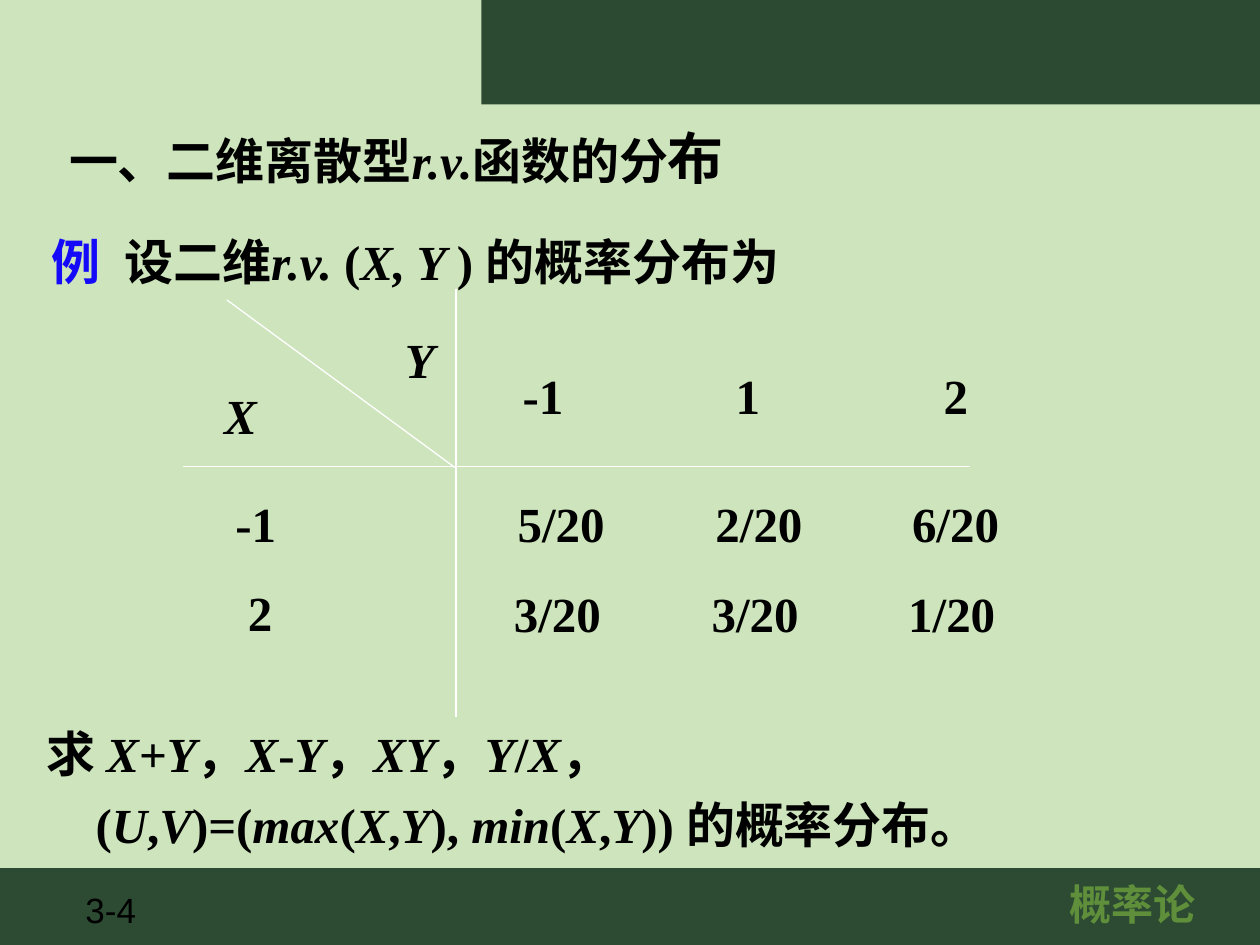
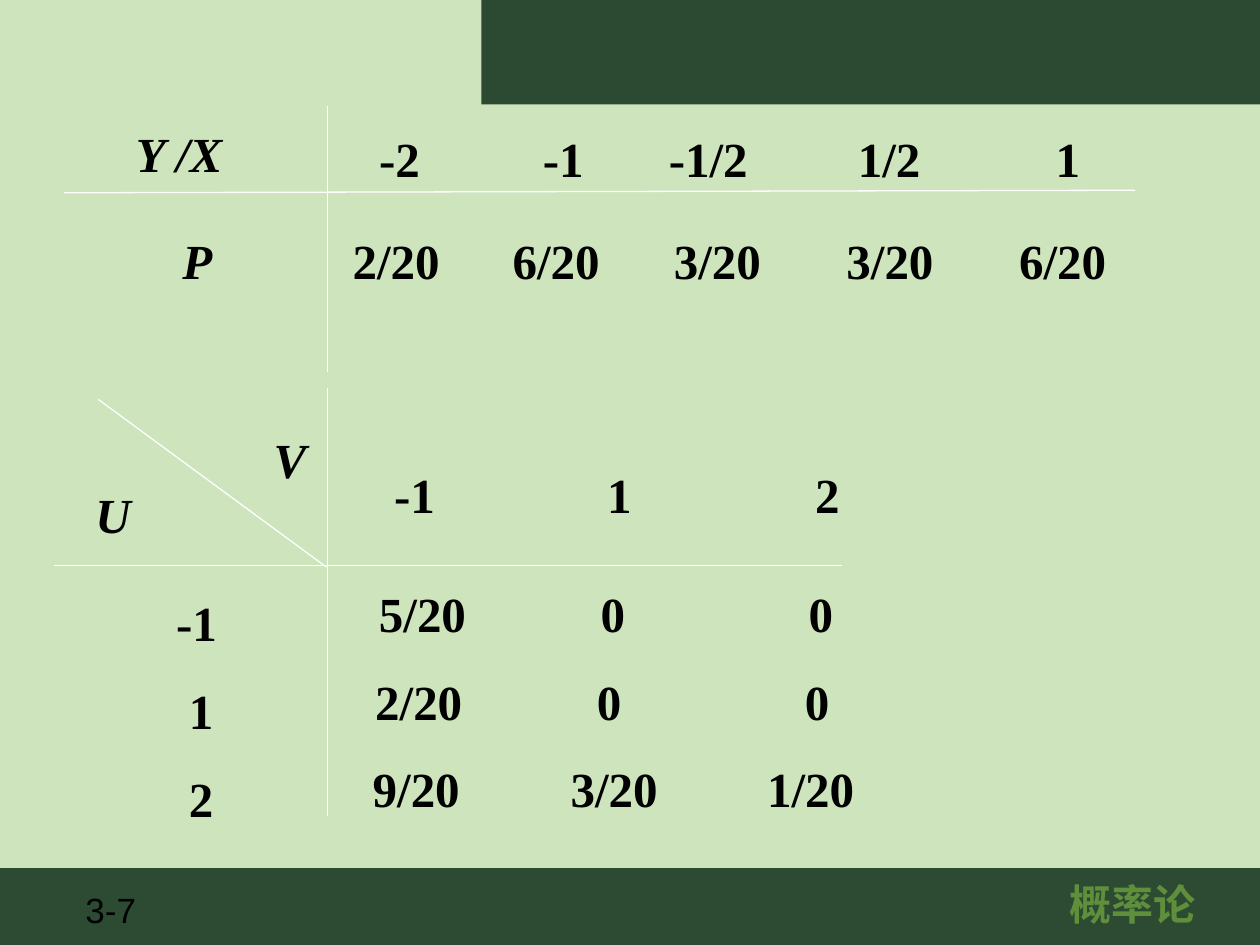
"""Build two slides on the distribution of functions of discrete random pairs."""
from dataclasses import dataclass, field

from lxml.etree import SubElement as Sub
from pptx import Presentation
from pptx.dml.color import RGBColor as Rgb
from pptx.enum.shapes import MSO_CONNECTOR as Conn, MSO_SHAPE as Kind
from pptx.enum.text import PP_ALIGN as Align
from pptx.oxml.ns import qn
from pptx.slide import Slide
from pptx.util import Inches, Pt

HUES = {
    "page": "CDE4BC", "foot": "2D4B33", "head": "2C4A32", "brand": "5F8F3B",
    "ink": "000000", "blue": "1409F9", "line": "FFFFFF",
}
MATH = {"name": "Times New Roman", "size": Pt(28), "bold": True}
HAN = "Noto Sans CJK SC"
PAIRS = (1.69, 3.34)
THIRDS = (1.57, 3.13)
ZEROS = (1.76, 3.41)


@dataclass
class Bit:
    """A piece of text, with italics between asterisks."""
    text: str
    hue: str = "ink"
    form: dict = field(default_factory=dict)


@dataclass
class Para:
    """A paragraph with its layout."""
    bits: list[Bit]
    tabs: tuple[float, ...] = ()
    dent: float = 0
    lead: float = 1.0
    align: Align = Align.LEFT


@dataclass
class Bar:
    """A plain filled band."""
    left: float
    top: float
    wide: float
    high: float
    hue: str


@dataclass
class Row:
    """A line of values set on tab stops."""
    left: float
    top: float
    cells: list[str]
    tabs: tuple[float, ...]


BARS = [Bar(0, 6.89, 10, 0.61, "foot"), Bar(3.82, 0, 6.18, 0.83, "head")]


def tint(hue: str) -> Rgb:
    """Look up a colour."""
    return Rgb.from_string(HUES[hue])


def write(slide: Slide, left: float, top: float, wide: float, paras: list[Para],
          high: float = 0.57) -> None:
    """Place a text box."""
    box = slide.shapes.add_textbox(*map(Inches, (left, top, wide, high)))
    frame = box.text_frame
    frame.word_wrap = True
    for num, para in enumerate(paras):
        line = frame.add_paragraph() if num else frame.paragraphs[0]
        line.alignment, line.line_spacing = para.align, para.lead
        props = line._p.get_or_add_pPr()
        if para.dent:
            props.set("marL", str(Inches(para.dent)))
            props.set("indent", "0")
        if para.tabs:
            stops = Sub(props, qn("a:tabLst"))
            for tab in para.tabs:
                Sub(stops, qn("a:tab"), pos=str(Inches(tab)), algn="l")
        for bit in para.bits:
            for spot, text in enumerate(bit.text.split("*")):
                if not text:
                    continue
                run = line.add_run()
                run.text = text
                form = MATH | {"italic": spot % 2 == 1} | bit.form
                for key, value in form.items():
                    setattr(run.font, key, value)
                run.font.color.rgb = tint(bit.hue)
                Sub(run._r.get_or_add_rPr(), qn("a:ea"), typeface=HAN)


def label(slide: Slide, left: float, top: float, wide: float, text: str,
          align: Align = Align.LEFT) -> None:
    """Place a single line of maths."""
    write(slide, left, top, wide, [Para([Bit(text)], align=align)])


def rows(slide: Slide, items: list[Row]) -> None:
    """Place lines of tabbed values."""
    for row in items:
        text = "\t".join(row.cells)
        write(slide, row.left, row.top, row.tabs[-1] + 1.05,
              [Para([Bit(text)], row.tabs)])


def rule(slide: Slide, *ends: float) -> None:
    """Draw a thin line."""
    line = slide.shapes.add_connector(Conn.STRAIGHT, *map(Inches, ends))
    line.line.width = Pt(0.75)
    line.line.color.rgb = tint("line")
    Sub(line._element.spPr, qn("a:effectLst"))


def grid(slide: Slide, left: float, top: float, side: str, head: str) -> None:
    """Draw a joint table frame whose crossing rule starts at left, top."""
    rule(slide, left, top, left + 6.25, top)
    rule(slide, left + 2.17, top - 1.41, left + 2.17, top + 1.99)
    rule(slide, left + 0.35, top - 1.32, left + 2.16, top + 0.01)
    label(slide, left + 1.3, top - 1.13, 0.8, f"*{head}*", Align.RIGHT)
    label(slide, left + 0.23, top - 0.69, 0.8, f"*{side}*")
    rows(slide, [Row(left + 2.6, top - 0.85, ["-1", "1", "2"], PAIRS)])


def sides(slide: Slide, left: float, top: float, names: list[str]) -> None:
    """Place the row names of a joint table."""
    paras = [Para([Bit(name)], dent=0.1 if num else 0, lead=1.5 if num else 1.0)
             for num, name in enumerate(names)]
    write(slide, left, top, 0.8, paras, 0.57 + 0.7 * (len(names) - 1))


def start(deck: Presentation, mark: str) -> Slide:
    """Add a slide with bands and footer."""
    slide = deck.slides.add_slide(deck.slide_layouts[6])
    back = slide.background.fill
    back.solid()
    back.fore_color.rgb = tint("page")
    for bar in BARS:
        band = slide.shapes.add_shape(
            Kind.RECTANGLE, *map(Inches, (bar.left, bar.top, bar.wide, bar.high)))
        band.shadow.inherit = False
        band.fill.solid()
        band.fill.fore_color.rgb = tint(bar.hue)
        band.line.fill.background()
    plain = {"name": "Arial", "size": Pt(20), "bold": False}
    brand = {"name": "Arial", "size": Pt(24)}
    write(slide, 0.58, 7, 0.78, [Para([Bit(mark, form=plain)])], 0.43)
    write(slide, 7.97, 6.92, 2.03,
          [Para([Bit("概率论", "brand", brand)], align=Align.CENTER)], 0.5)
    return slide


def joint(deck: Presentation) -> None:
    """Pose the example with its joint table."""
    slide = start(deck, "3-4")
    write(slide, 0.31, 1.79, 7.5, [Para([
        Bit("例", "blue", {"name": HAN}),
        Bit("\t设二维*r.v. *(*X, Y *) 的概率分布为")], (0.58,))])
    write(slide, 0.45, 0.93, 8.43, [Para([
        Bit("一、二维离散型*r.v.*函数的分"), Bit("布", form={"size": Pt(32)})])], 0.64)
    grid(slide, 1.45, 3.7, "X", "Y")
    sides(slide, 1.77, 3.87, ["-1", "2"])
    rows(slide, [
        Row(4.01, 3.87, ["5/20", "2/20", "6/20"], THIRDS),
        Row(3.98, 4.58, ["3/20", "3/20", "1/20"], THIRDS)])
    write(slide, 0.27, 5.6, 9.7, [
        Para([Bit("求 *X*+*Y*，*X*-*Y*，*XY*，*Y*/*X*，")], lead=1.2),
        Para([Bit("(*U*,*V*)=(*max*(*X*,*Y*), *min*(*X*,*Y*)) 的概率分布。")],
             dent=0.39, lead=1.2)], 1.22)


def answer(deck: Presentation) -> None:
    """Show the resulting distributions."""
    slide = start(deck, "3-7")
    rule(slide, 0.51, 1.53, 9.01, 1.51)
    rule(slide, 2.6, 0.84, 2.6, 2.95)
    label(slide, 1.35, 1.78, 0.8, "*P*")
    label(slide, 0.98, 0.93, 1.24, "*Y /X*")
    grid(slide, 0.43, 4.49, "U", "V")
    sides(slide, 1.3, 4.65, ["-1", "1", "2"])
    rows(slide, [
        Row(2.91, 0.97, ["-2", "-1", "-1/2", "1/2", "1"], (1.3, 2.3, 3.8, 5.37)),
        Row(2.7, 1.78, ["2/20", "6/20", "3/20", "3/20", "6/20"],
            (1.27, 2.55, 3.92, 5.29)),
        Row(2.91, 4.58, ["5/20", "0", "0"], ZEROS),
        Row(2.88, 5.28, ["2/20", "0", "0"], ZEROS),
        Row(2.86, 5.97, ["9/20", "3/20", "1/20"], THIRDS)])


def main() -> None:
    """Build and save the deck."""
    deck = Presentation()
    deck.slide_width, deck.slide_height = Inches(10), Inches(7.5)
    joint(deck)
    answer(deck)
    deck.save("out.pptx")


if __name__ == "__main__":
    main()
